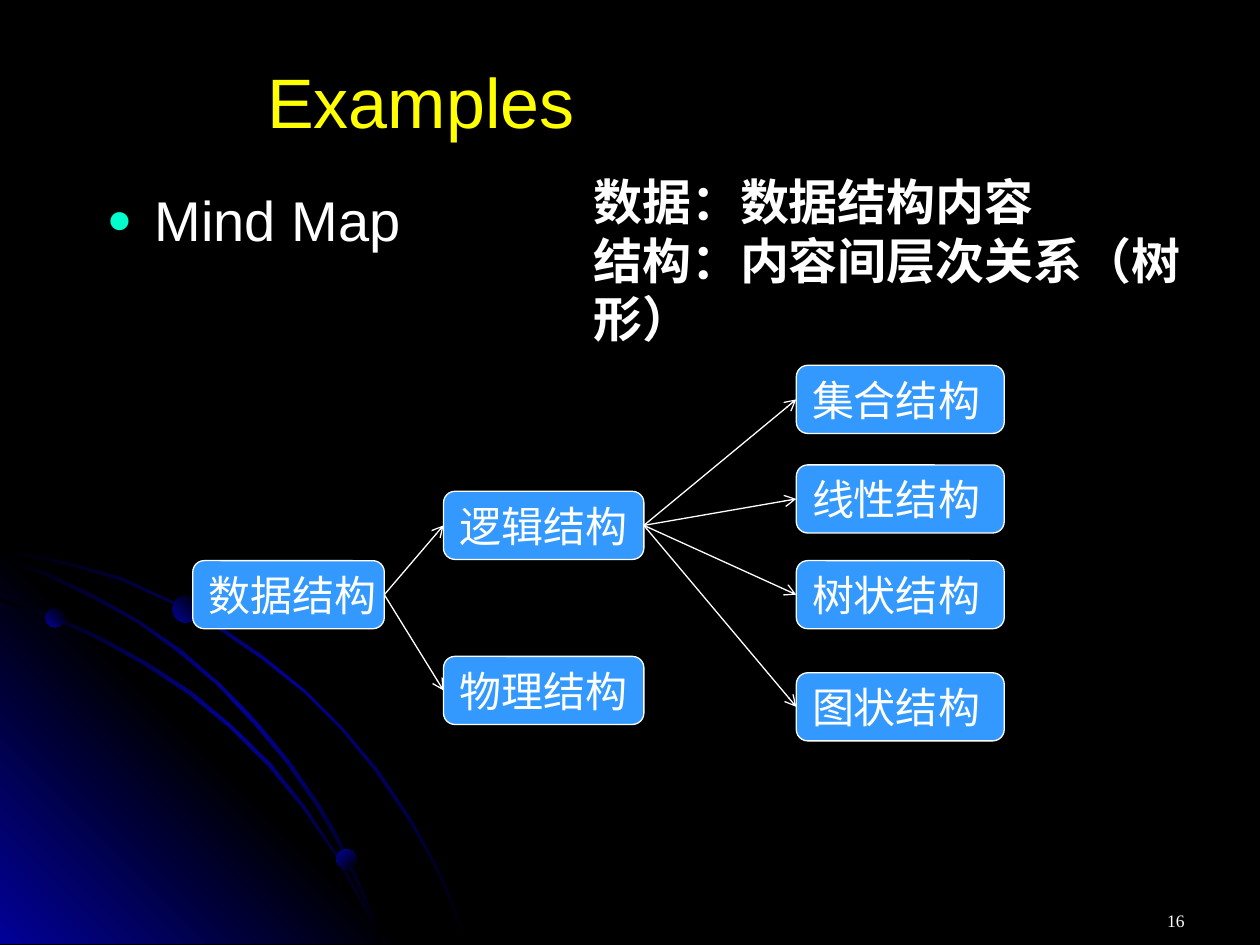
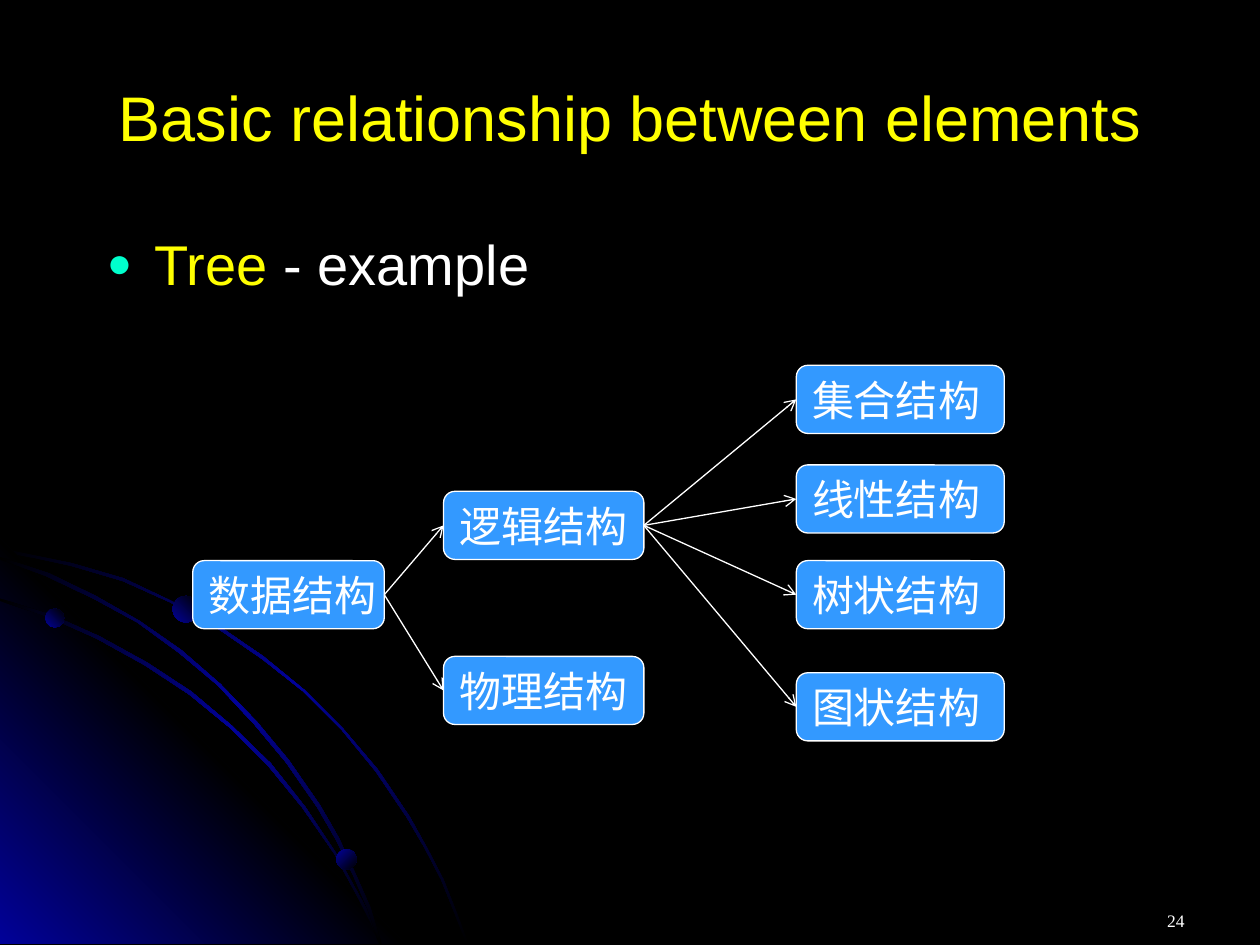
from lxml import etree
from pptx import Presentation
from pptx.dml.color import RGBColor
from pptx.enum.shapes import MSO_CONNECTOR, MSO_SHAPE
from pptx.enum.text import MSO_ANCHOR, PP_ALIGN
from pptx.oxml.ns import qn
from pptx.util import Emu, Pt

PX = 9144  # 100 px to the inch
STRAIGHT = MSO_CONNECTOR.STRAIGHT
ROUNDED, OVAL = MSO_SHAPE.ROUNDED_RECTANGLE, MSO_SHAPE.OVAL
LEFT, CENTER, RIGHT = PP_ALIGN.LEFT, PP_ALIGN.CENTER, PP_ALIGN.RIGHT
TOP, MIDDLE = MSO_ANCHOR.TOP, MSO_ANCHOR.MIDDLE
LEFT_SITE, RIGHT_SITE = 1, 3

BLACK, WHITE, YELLOW = "000000", "FFFFFF", "FFFF00"
NAVY, NODE_BLUE, BULLET_GREEN = "010199", "3399FF", "00FFCC"
RISING, FALLING = 45, 315  # gradient angles, counter-clockwise

CORNER = [(322, 749), (0, 749), (0, 427)]
OUTER_ARC = [
    (57, 447), (28, 441), (0, 435), (0, 438), (28, 443), (56, 449), (97, 461),
    (135, 478), (173, 499), (208, 523), (241, 549), (271, 579), (298, 612),
    (323, 649), (337, 673), (350, 698), (360, 723), (370, 749), (372, 749),
    (362, 723), (352, 698), (339, 673), (325, 648), (300, 611), (272, 578),
    (242, 548), (209, 521), (174, 497), (136, 477), (98, 459)]
LOWER_ARC = [
    (285, 714), (294, 732), (301, 749), (303, 749), (296, 730), (286, 712),
    (266, 676), (242, 640), (215, 606), (184, 576), (152, 549), (117, 526),
    (79, 505), (41, 488), (0, 475), (0, 477), (39, 490), (77, 507),
    (115, 528), (150, 551), (183, 578), (213, 608), (240, 641), (265, 677)]
MIDDLE_ARC = [
    (0, 442), (0, 444), (36, 457), (74, 475), (109, 494), (142, 518),
    (173, 544), (202, 575), (227, 605), (252, 641), (267, 667), (280, 694),
    (292, 722), (301, 749), (303, 749), (294, 720), (282, 693), (269, 665),
    (254, 639), (229, 603), (204, 573), (175, 543), (144, 516), (111, 493),
    (76, 473), (39, 455)]
ARC_COLORS = [BLACK, NAVY, BLACK]
SWEEPS = [
    (OUTER_ARC, ARC_COLORS, FALLING),
    (CORNER, [NAVY, BLACK, NAVY], RISING),
    (LOWER_ARC, ARC_COLORS, FALLING),
    (MIDDLE_ARC, ARC_COLORS, FALLING)]
PLANETS = [(36, 483, 15, RISING), (267, 674, 16, FALLING), (137, 473, 21, RISING)]

NODE_HEIGHT = 54
COLUMNS = [(153, 152), (352, 159), (632, 165)]  # left, width by tree depth
NODES = [  # text, depth, top
    ("数据结构", 0, 445),
    ("逻辑结构", 1, 390), ("物理结构", 1, 521),
    ("集合结构", 2, 290), ("线性结构", 2, 369),
    ("树状结构", 2, 445), ("图状结构", 2, 534)]
BRANCHES = {
    "数据结构": ["逻辑结构", "物理结构"],
    "逻辑结构": ["集合结构", "图状结构", "线性结构", "树状结构"]}


def rgb(value):
    return RGBColor.from_string(value)


def px(*lengths):
    return [Emu(length * PX) for length in lengths]


def write_text(box, *paragraphs, size, color=WHITE, font="Arial", bold=False,
               align=LEFT, anchor=TOP, wrap=True):
    """Each paragraph is a string or a list of (text, color) spans."""
    frame = box.text_frame
    frame.word_wrap = wrap
    frame.vertical_anchor = anchor
    for index, spans in enumerate(paragraphs):
        para = frame.add_paragraph() if index else frame.paragraphs[0]
        para.alignment = align
        if isinstance(spans, str):
            spans = [(spans, color)]
        for text, span_color in spans:
            span = para.add_run()
            span.text = text
            span.font.name = font
            span.font.size = Pt(size)
            span.font.bold = bold
            span.font.color.rgb = rgb(span_color)


def add_text(page, place, *paragraphs, **text_format):
    box = page.shapes.add_textbox(*px(*place))
    write_text(box, *paragraphs, **text_format)
    return box


def set_gradient(shape, colors, angle):
    """Spread the colors evenly and leave out outline and shadow."""
    shape.shadow.inherit = False
    shape.line.fill.background()
    shape.fill.gradient()
    shape.fill.gradient_angle = angle
    stops = shape.element.spPr.find(qn("a:gradFill")).find(qn("a:gsLst"))
    for stop in list(stops):
        stops.remove(stop)
    for index, color in enumerate(colors):
        position = 100000 * index // (len(colors) - 1)
        stop = etree.SubElement(stops, qn("a:gs"), pos=str(position))
        etree.SubElement(stop, qn("a:srgbClr"), val=color)


def add_backdrop(page):
    page.background.fill.solid()
    page.background.fill.fore_color.rgb = rgb(BLACK)
    for points, colors, angle in SWEEPS:
        builder = page.shapes.build_freeform(*points[0], scale=PX)
        builder.add_line_segments(points[1:], close=True)
        set_gradient(builder.convert_to_shape(), colors, angle)
    for left, top, size, angle in PLANETS:
        planet = page.shapes.add_shape(OVAL, *px(left, top, size, size))
        set_gradient(planet, [NAVY, BLACK], angle)


def add_page_number(page, number):
    box = add_text(page, (717, 701, 233, 50), str(number), size=10,
                   font="Times New Roman", align=RIGHT)
    box.text_frame.margin_top = Emu(21 * PX)


def add_title(page, place, text, size):
    add_text(page, place, text, size=size, color=YELLOW, align=CENTER, anchor=MIDDLE)


def add_bullet(page, top, spans):
    box = add_text(page, (75, top, 850, 450), spans, size=32)
    properties = box.text_frame.paragraphs[0]._p.get_or_add_pPr()
    properties.set("marL", str(38 * PX))
    properties.set("indent", str(-38 * PX))
    spacing = etree.SubElement(properties, qn("a:spcBef"))
    etree.SubElement(spacing, qn("a:spcPct"), val="20000")
    color = etree.SubElement(properties, qn("a:buClr"))
    etree.SubElement(color, qn("a:srgbClr"), val=BULLET_GREEN)
    etree.SubElement(properties, qn("a:buSzPct"), val="75000")
    etree.SubElement(properties, qn("a:buFont"), typeface="Arial")
    etree.SubElement(properties, qn("a:buChar"), char="●")


def set_white_line(shape):
    shape.line.color.rgb = rgb(WHITE)
    shape.line.width = Pt(0.75)


def add_node(page, text, depth, top):
    left, width = COLUMNS[depth]
    node = page.shapes.add_shape(ROUNDED, *px(left, top, width, NODE_HEIGHT))
    node.shadow.inherit = False
    node.fill.solid()
    node.fill.fore_color.rgb = rgb(NODE_BLUE)
    set_white_line(node)
    write_text(node, text, size=24, anchor=MIDDLE, wrap=False)
    return node


def add_arrow(page, parent, child):
    arrow = page.shapes.add_connector(STRAIGHT, 0, 0, 0, 0)
    arrow.begin_connect(parent, RIGHT_SITE)
    arrow.end_connect(child, LEFT_SITE)
    set_white_line(arrow)
    etree.SubElement(arrow.line._get_or_add_ln(), qn("a:tailEnd"), type="arrow")
    etree.SubElement(arrow.element.spPr, qn("a:effectLst"))


def add_tree(page):
    nodes = {text: add_node(page, text, depth, top) for text, depth, top in NODES}
    for parent, children in BRANCHES.items():
        for child in children:
            add_arrow(page, nodes[parent], nodes[child])


def add_page(deck, number):
    page = deck.slides.add_slide(deck.slide_layouts[6])
    add_backdrop(page)
    add_page_number(page, number)
    return page


def main():
    deck = Presentation()
    deck.slide_width, deck.slide_height = px(1000, 750)

    page = add_page(deck, 16)
    add_bullet(page, 142, "Mind Map")
    add_title(page, (90, 30, 488, 100), "Examples", 40)
    add_text(page, (461, 131, 531, 104), "数据：数据结构内容",
             "结构：内容间层次关系（树形）", size=28, bold=True)
    add_tree(page)

    page = add_page(deck, 24)
    add_bullet(page, 177, [("Tree ", YELLOW), ("- example", WHITE)])
    add_title(page, (50, 30, 900, 125), "Basic relationship between elements", 36)
    add_tree(page)

    deck.save("out.pptx")


if __name__ == "__main__":
    main()
